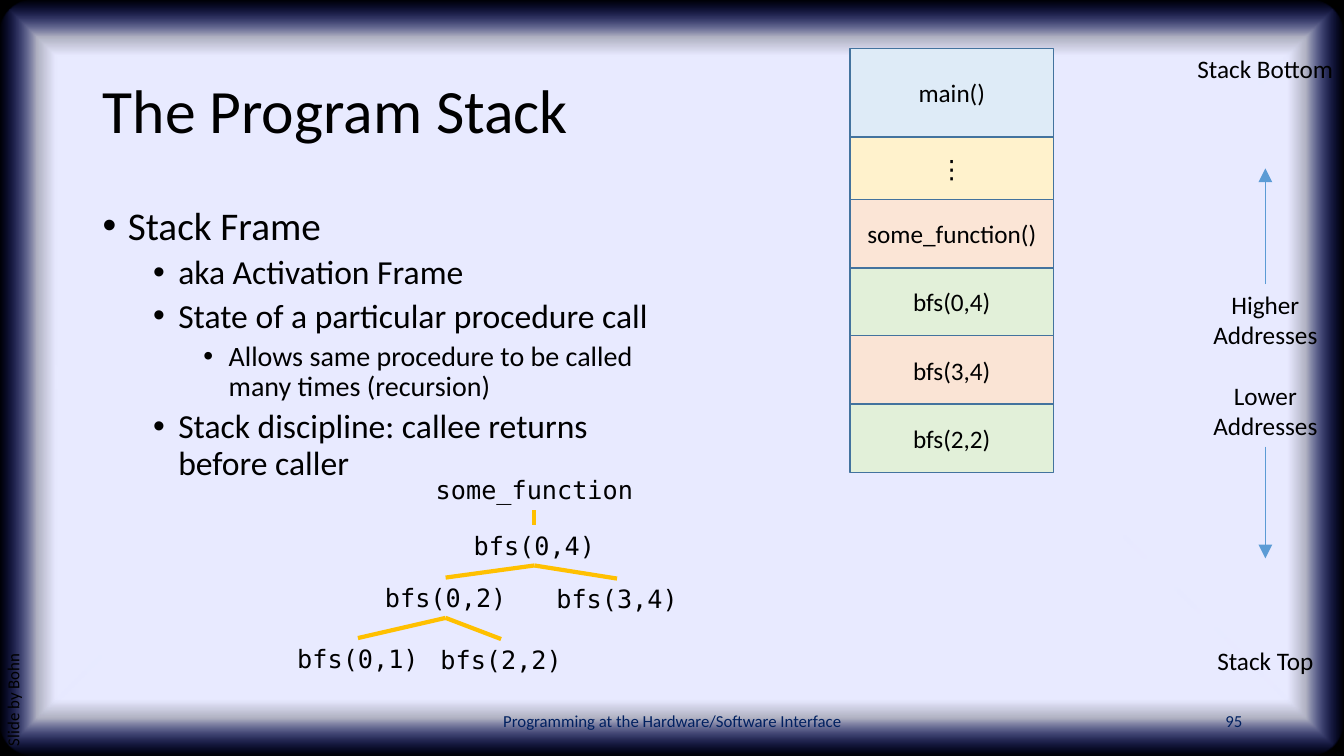
from lxml import etree
from pptx import Presentation
from pptx import util as u
from pptx.dml.color import RGBColor
from pptx.enum import shapes as s, text as t
from pptx.oxml import parse_xml
from pptx.oxml.ns import nsdecls, qn

SANS, MONO = "Calibri", "DejaVu Sans Mono"
BLACK, NAVY, BLUE, GOLD = "000000", "002060", "5B9BD5", "FFC000"
ALIGN = t.PP_ALIGN
MIDDLE = t.MSO_ANCHOR.MIDDLE


def color(hex_string):
    return RGBColor.from_string(hex_string)


def set_font(paragraph, size, name=SANS, fill=BLACK):
    paragraph.font.size = u.Pt(size)
    paragraph.font.name = name
    paragraph.font.color.rgb = color(fill)


def add_label(slide, box, words, size=18, name=SANS, fill=BLACK,
              align=ALIGN.CENTER, anchor=t.MSO_ANCHOR.TOP, wrap=False):
    label = slide.shapes.add_textbox(*map(u.Inches, box))
    frame = label.text_frame
    frame.word_wrap = wrap
    frame.vertical_anchor = anchor
    paragraph = frame.paragraphs[0]
    paragraph.text = words
    paragraph.alignment = align
    set_font(paragraph, size, name, fill)
    return label


def add_line(slide, start, end, fill, width, arrow=False):
    line = slide.shapes.add_connector(
        s.MSO_CONNECTOR.STRAIGHT, *map(u.Inches, (*start, *end)))
    line.line.color.rgb = color(fill)
    line.line.width = u.Pt(width)
    if arrow:
        etree.SubElement(line.line._get_or_add_ln(), qn("a:tailEnd"),
                         type="triangle", w="lg", len="lg")
    etree.SubElement(line.element.spPr, qn("a:effectLst"))


def add_backdrop(slide, box):
    """Black page under a rounded panel that fades out towards its edges."""
    page, panel = (
        slide.shapes.add_shape(kind, *map(u.Inches, box))
        for kind in (s.MSO_SHAPE.RECTANGLE, s.MSO_SHAPE.ROUNDED_RECTANGLE))
    for shape in (page, panel):
        shape.shadow.inherit = False
        shape.line.fill.background()
    page.fill.solid()
    page.fill.fore_color.rgb = color(BLACK)
    panel.adjustments[0] = 0.048
    stops = "".join(
        f'<a:gs pos="{position}000"><a:srgbClr val="{fill}">'
        f'<a:alpha val="{alpha}000"/></a:srgbClr></a:gs>'
        for position, fill, alpha in
        ((85, "E8EAFF", 100), (90, "E8EAFF", 75), (100, "162AFF", 0)))
    gradient = parse_xml(
        f'<a:gradFill {nsdecls("a")} rotWithShape="1"><a:gsLst>{stops}</a:gsLst>'
        '<a:path path="shape"><a:fillToRect l="50000" t="50000" r="50000" b="50000"/>'
        '</a:path></a:gradFill>')
    panel.element.spPr.find(qn("a:prstGeom")).addnext(gradient)


def add_title(slide, box, words):
    title = slide.shapes.title
    title.left, title.top, title.width, title.height = map(u.Inches, box)
    title.element.getparent().append(title.element)  # bring in front of the backdrop
    frame = title.text_frame
    frame.auto_size = t.MSO_AUTO_SIZE.NONE
    frame.vertical_anchor = MIDDLE
    paragraph = frame.paragraphs[0]
    paragraph.text = words
    paragraph.alignment = ALIGN.LEFT
    paragraph.line_spacing = 0.9
    set_font(paragraph, 44)


def add_bullets(slide, box, items):
    frame = slide.shapes.add_textbox(*map(u.Inches, box)).text_frame
    frame.word_wrap = True
    for index, (level, words) in enumerate(items):
        paragraph = frame.add_paragraph() if index else frame.paragraphs[0]
        paragraph.text = words
        paragraph.level = level
        paragraph.line_spacing = 0.9
        paragraph.space_before = u.Pt(5 if index else 0)
        properties = paragraph._p.get_or_add_pPr()
        properties.set("marL", str(u.Inches(0.25 + 0.5 * level)))
        properties.set("indent", str(u.Inches(-0.25)))
        etree.SubElement(properties, qn("a:buFont"), typeface="Arial")
        etree.SubElement(properties, qn("a:buChar"), char="•")
        set_font(paragraph, 28 - 4 * level)


def add_stack(slide, left, top, width, frames):
    for words, height, fill in frames:
        shape = slide.shapes.add_shape(
            s.MSO_SHAPE.RECTANGLE, *map(u.Inches, (left, top, width, height)))
        shape.shadow.inherit = False
        shape.fill.solid()
        shape.fill.fore_color.rgb = color(fill)
        shape.line.color.rgb = color("43739E")
        shape.line.width = u.Pt(1)
        shape.text_frame.vertical_anchor = MIDDLE
        paragraph = shape.text_frame.paragraphs[0]
        paragraph.text = words
        paragraph.alignment = ALIGN.CENTER
        set_font(paragraph, 18)
        top += height


def add_address_guide(slide, center, top):
    """Labels and arrows that show which way addresses grow."""
    for words, offset, width, height in (
            ("Stack Bottom", 0, 1.57, 0.4),
            ("Higher\nAddresses", 2.34, 1.25, 0.71),
            ("Lower\nAddresses", 3.24, 1.25, 0.71),
            ("Stack Top", 5.87, 1.17, 0.4)):
        add_label(slide, (center - width / 2, top + offset, width, height), words)
    for start, end in ((2.34, 1.19), (3.95, 5.06)):
        add_line(slide, (center, top + start), (center, top + end), BLUE, 0.5, arrow=True)


def add_call_tree(slide, center, top, calls):
    """Place calls (name, parent index, x and y offset) and join each to its parent."""
    height = 0.4
    for words, parent, x, y in calls:
        width = 0.2 + 0.16 * len(words)
        add_label(slide, (center + x - width / 2, top + y, width, height), words, name=MONO)
        if parent is not None:
            parent_x, parent_y = calls[parent][2:]
            add_line(slide, (center + parent_x, top + parent_y + height),
                     (center + x, top + y), GOLD, 3)


def add_footer(slide, top, words, number):
    for left, width, content, align in (
            (4.42, 4.5, words, ALIGN.CENTER), (9.42, 3, number, ALIGN.RIGHT)):
        add_label(slide, (left, top, width, 0.4), content, 12, fill=NAVY,
                  align=align, anchor=MIDDLE, wrap=True)


def add_credit(slide, box, words):
    credit = add_label(slide, box, words, 12, align=ALIGN.LEFT, wrap=True)
    credit.rotation = 270
    credit.text_frame.paragraphs[0].line_spacing = 0.9


def main():
    presentation = Presentation()
    presentation.slide_width = u.Inches(13.33)
    presentation.slide_height = u.Inches(7.5)
    slide = presentation.slides.add_slide(presentation.slide_layouts.get_by_name("Title Only"))

    add_backdrop(slide, (0, 0, 13.33, 7.5))
    add_title(slide, (0.92, 0.4, 11.5, 1.45), "The Program Stack")
    add_bullets(slide, (0.92, 2, 5.67, 4.76), (
        (0, "Stack Frame"),
        (1, "aka Activation Frame"),
        (1, "State of a particular procedure call"),
        (2, "Allows same procedure to be called many times (recursion)"),
        (1, "Stack discipline: callee returns before caller")))
    add_footer(slide, 6.95, "Programming at the Hardware/Software Interface", "95")
    add_credit(slide, (-2.44, 4.66, 5.28, 0.4), "Slide by Bohn")
    add_stack(slide, 8.43, 0.48, 2.02, (
        ("main()", 0.88, "DEEBF7"),
        ("⋮", 0.62, "FFF2CC"),
        ("some_function()", 0.68, "FBE5D6"),
        ("bfs(0,4)", 0.67, "E2F0D9"),
        ("bfs(3,4)", 0.68, "FAE4D5"),
        ("bfs(2,2)", 0.68, "E2F0D9")))
    add_address_guide(slide, 12.55, 0.48)
    add_call_tree(slide, 5.3, 4.66, (
        ("some_function", None, 0, 0),
        ("bfs(0,4)", 0, 0, 0.55),
        ("bfs(0,2)", 1, -0.88, 1.07),
        ("bfs(3,4)", 1, 0.82, 1.08),
        ("bfs(0,1)", 2, -1.75, 1.67),
        ("bfs(2,2)", 2, -0.33, 1.68)))
    presentation.save("out.pptx")


if __name__ == "__main__":
    main()
